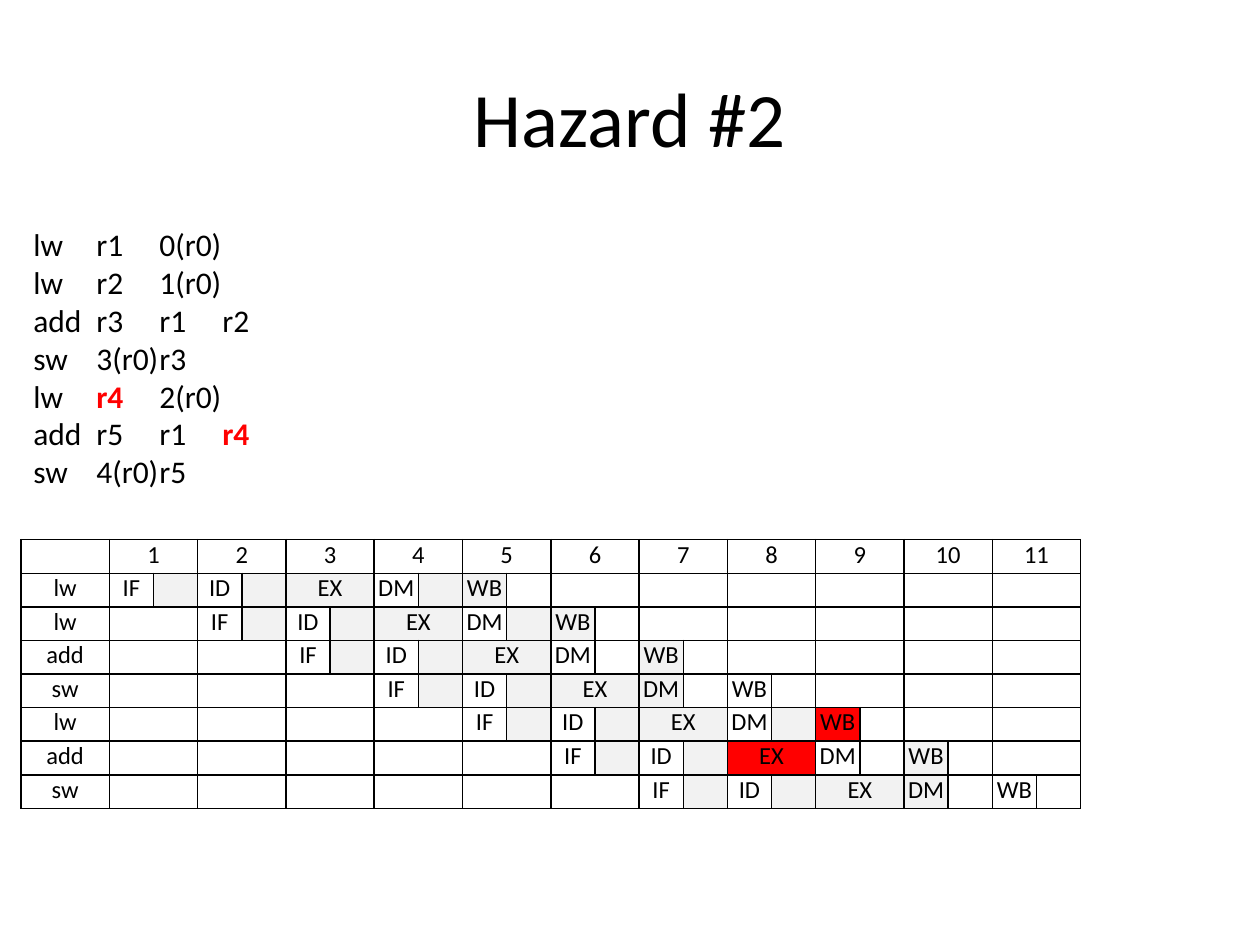
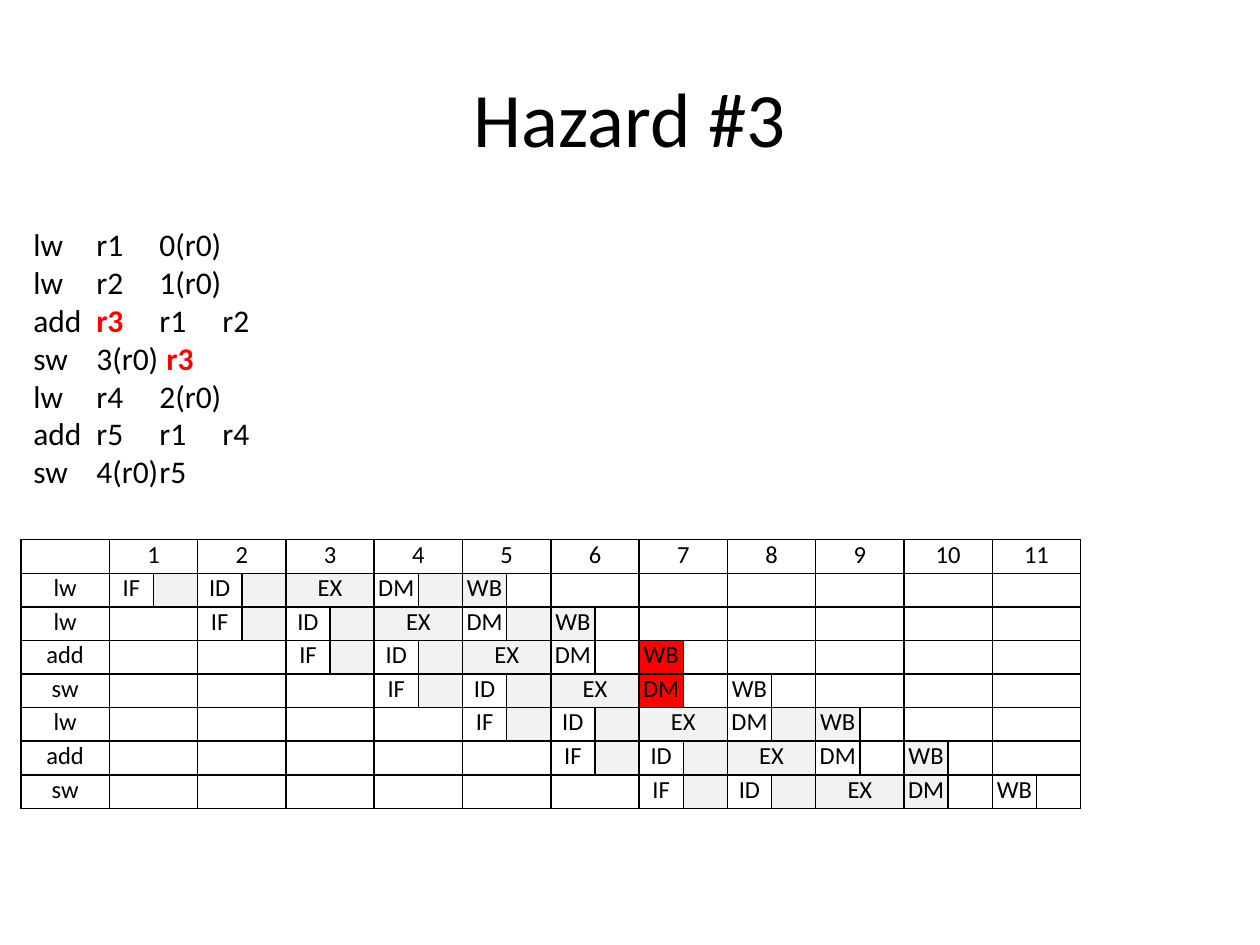
"""Build two slides that show data hazards in a five-stage pipeline."""
from dataclasses import dataclass

from lxml import etree
from pptx import Presentation
from pptx.dml.color import RGBColor
from pptx.enum.text import MSO_ANCHOR, PP_ALIGN
from pptx.oxml.ns import qn
from pptx.util import Pt

CENTER, LEFT = PP_ALIGN.CENTER, PP_ALIGN.LEFT
MIDDLE, TOP = MSO_ANCHOR.MIDDLE, MSO_ANCHOR.TOP
BLANK_LAYOUT = 6


@dataclass(frozen=True)
class Theme:
    font: str = "Calibri"
    ink: str = "000000"
    hazard: str = "FF0000"
    active: str = "F2F2F2"
    title_size: int = 44
    code_size: int = 18
    grid_size: int = 14
    border: int = 1


PROGRAM = [
    ("lw", "r1", "0(r0)"),
    ("lw", "r2", "1(r0)"),
    ("add", "r3", "r1", "r2"),
    ("sw", "3(r0)", "r3"),
    ("lw", "r4", "2(r0)"),
    ("add", "r5", "r1", "r4"),
    ("sw", "4(r0)", "r5"),
]
STAGES = ("IF", "ID", "EX", "DM", "WB")
CYCLES = len(PROGRAM) + len(STAGES) - 1
FIRST_HALF, SECOND_HALF, NEITHER = (True, False), (False, True), (False, False)
MEMORY_USE = {"lw": SECOND_HALF, "add": NEITHER, "sw": FIRST_HALF}
WRITE_BACK_USE = {"lw": FIRST_HALF, "add": FIRST_HALF, "sw": NEITHER}

HAZARDS = [
    {
        "title": "Hazard #2",
        "operands": {(4, 1): "r4", (5, 3): "r4"},
        "stages": {(4, "WB"), (5, "EX")},
    },
    {
        "title": "Hazard #3",
        "operands": {(2, 1): "r3", (3, 2): " r3"},
        "stages": {(2, "WB"), (3, "DM")},
    },
]


def write(paragraph, text, *, theme, size, color=None, bold=False, align=LEFT):
    paragraph.alignment = align
    run = paragraph.add_run()
    run.text = text
    run.font.name = theme.font
    run.font.size = Pt(size)
    run.font.bold = bold
    run.font.color.rgb = RGBColor.from_string(color or theme.ink)


def stage_use(operation, stage):
    if stage == "DM":
        return MEMORY_USE[operation]
    if stage == "WB":
        return WRITE_BACK_USE[operation]
    return SECOND_HALF


class HazardDeck:
    def __init__(self, theme):
        self.theme = theme
        self.deck = Presentation()
        self.deck.slide_width, self.deck.slide_height = Pt(720), Pt(540)
        self.slide = None

    def new_slide(self):
        layout = self.deck.slide_layouts[BLANK_LAYOUT]
        self.slide = self.deck.slides.add_slide(layout)

    def text_frame(self, left, top, width, height, anchor=TOP):
        box = self.slide.shapes.add_textbox(Pt(left), Pt(top), Pt(width), Pt(height))
        frame = box.text_frame
        frame.word_wrap = True
        frame.vertical_anchor = anchor
        return frame

    def title(self, text):
        frame = self.text_frame(36, 21.6, 648, 90, MIDDLE)
        write(frame.paragraphs[0], text, theme=self.theme,
              size=self.theme.title_size, align=CENTER)

    def listing(self, hazard_operands):
        frame = self.text_frame(12, 125.3, 360, 160)
        for line, instruction in enumerate(PROGRAM):
            paragraph = frame.add_paragraph() if line else frame.paragraphs[0]
            for position, operand in enumerate(instruction):
                marked = hazard_operands.get((line, position))
                write(paragraph, ("\t" if position else "") + (marked or operand),
                      theme=self.theme, size=self.theme.code_size,
                      color=self.theme.hazard if marked else None,
                      bold=bool(marked))

    def cell(self, cell, text="", fill=None):
        cell.margin_left = cell.margin_right = cell.margin_top = cell.margin_bottom = 0
        paragraph = cell.text_frame.paragraphs[0]
        if text:
            write(paragraph, text, theme=self.theme,
                  size=self.theme.grid_size, align=CENTER)
        else:
            etree.SubElement(paragraph._p, qn("a:endParaRPr"),
                             sz=str(self.theme.grid_size * 100))
        properties = cell._tc.get_or_add_tcPr()
        for side in ("lnL", "lnR", "lnT", "lnB"):
            line = etree.SubElement(properties, qn(f"a:{side}"),
                                    w=str(Pt(self.theme.border)))
            solid = etree.SubElement(line, qn("a:solidFill"))
            etree.SubElement(solid, qn("a:srgbClr"), val=self.theme.ink)
        if fill:
            cell.fill.solid()
            cell.fill.fore_color.rgb = RGBColor.from_string(fill)
        else:
            cell.fill.background()

    def cycle(self, grid, row, cycle, texts=("", ""), fills=(None, None), merged=True):
        halves = [grid.cell(row, 1 + 2 * cycle + half) for half in (0, 1)]
        for half, text, fill in zip(halves, texts, fills):
            self.cell(half, text, fill)
        if merged:
            halves[0].merge(halves[1])

    def stage(self, grid, row, cycle, stage, is_hazard):
        theme = self.theme
        operation = PROGRAM[row - 1][0]
        if stage == "EX":
            fills = (theme.hazard if is_hazard else theme.active,) * 2
        else:
            fills = [theme.active if used else None
                     for used in stage_use(operation, stage)]
            if is_hazard:
                fills[0] = theme.hazard
        self.cycle(grid, row, cycle, (stage, ""), fills, merged=stage == "EX")

    def pipeline(self, hazard_stages):
        rows, columns = len(PROGRAM) + 1, 2 * CYCLES + 1
        half_width, row_height = 25.25, 19.2
        grid = self.slide.shapes.add_table(
            rows, columns, Pt(12), Pt(308.4),
            Pt(half_width * (columns + 1)), Pt(row_height * rows)).table
        grid.first_row = grid.horz_banding = False
        for index, column in enumerate(grid.columns):
            column.width = Pt(half_width if index else 2 * half_width)
        for row in grid.rows:
            row.height = Pt(row_height)

        self.cell(grid.cell(0, 0))
        for cycle in range(CYCLES):
            self.cycle(grid, 0, cycle, (str(cycle + 1), ""))
        for line, (operation, *_) in enumerate(PROGRAM):
            self.cell(grid.cell(line + 1, 0), operation)
            for cycle in range(CYCLES):
                if line <= cycle < line + len(STAGES):
                    stage = STAGES[cycle - line]
                    self.stage(grid, line + 1, cycle, stage,
                               (line, stage) in hazard_stages)
                else:
                    self.cycle(grid, line + 1, cycle)


def main():
    hazards = HazardDeck(Theme())
    for hazard in HAZARDS:
        hazards.new_slide()
        hazards.title(hazard["title"])
        hazards.pipeline(hazard["stages"])
        hazards.listing(hazard["operands"])
    hazards.deck.save("out.pptx")


if __name__ == "__main__":
    main()
